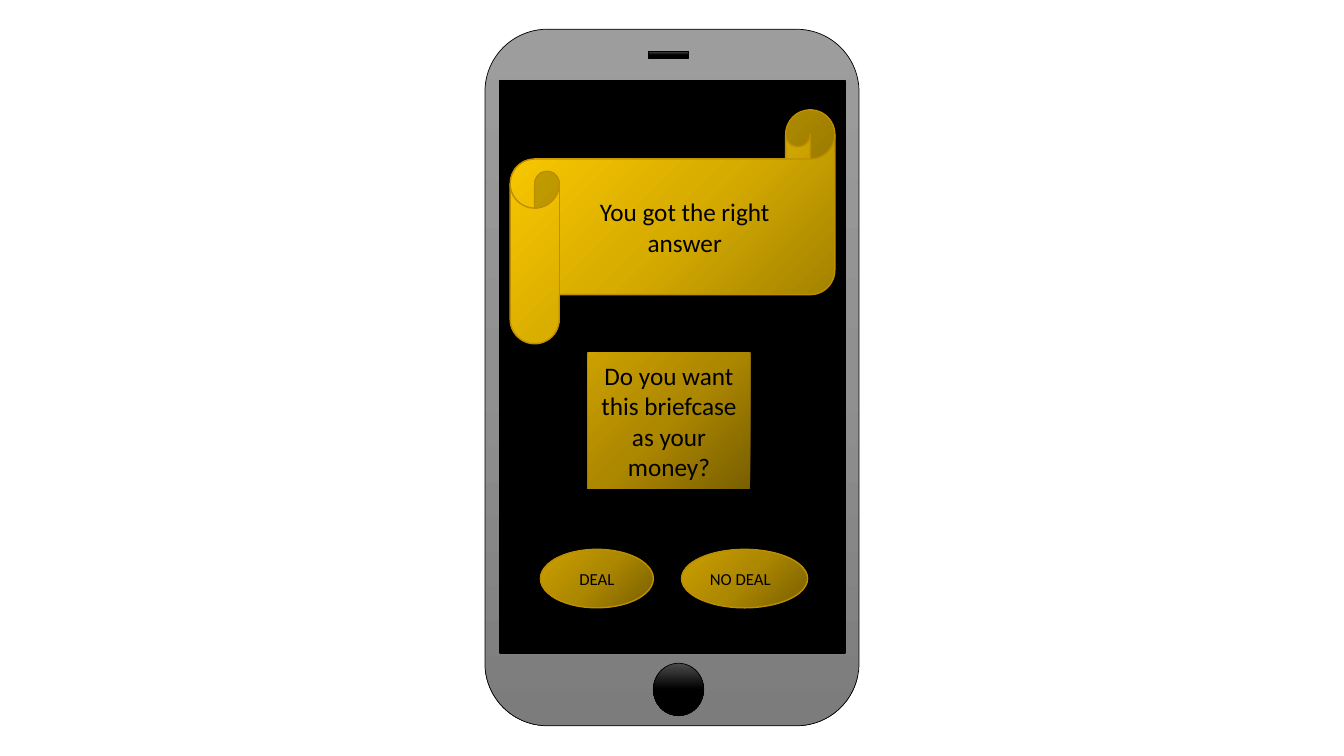
import copy

import pptx
import pptx.dml.color
import pptx.enum.shapes
import pptx.enum.text
import pptx.oxml.ns
import pptx.util

SHAPES = pptx.enum.shapes.MSO_SHAPE
ALIGN = pptx.enum.text.PP_ALIGN
PIXEL = 9144
BODY_GRADIENT = ("9D9D9D", "909090", "7C7C7C")
BUTTON_GRADIENT = ("4B4B4B", "000000", "000000")
SCROLL_GRADIENT = ("977900", "D7AC00", "FFCC00")
GOLD_GRADIENT = ("795F00", "AC8700", "CCA000")
GOLD_LINE = "BD8E00"


def color(value):
    return pptx.dml.color.RGBColor.from_string(value)


def write_text(shape, text, size=18, align=ALIGN.CENTER, line_spacing=None, space_after=None):
    frame = shape.text_frame
    frame.word_wrap = True
    frame.vertical_anchor = pptx.enum.text.MSO_ANCHOR.MIDDLE
    paragraph = frame.paragraphs[0]
    paragraph.alignment = align
    paragraph.line_spacing = line_spacing
    if space_after is not None:
        paragraph.space_after = pptx.util.Pt(space_after)
    run = paragraph.add_run()
    run.text = text
    run.font.name = "Calibri"
    run.font.size = pptx.util.Pt(size)
    run.font.color.rgb = color("000000")


class PhoneSlide:
    """Draws the parts of a phone screen on one slide."""

    def __init__(self, slide):
        self.slide = slide
        self.phone = slide.shapes.add_group_shape()

    def add_shape(self, container, kind, box, line=None, line_width=1):
        shape = container.shapes.add_shape(kind, *(length * PIXEL for length in box))
        shape.shadow.inherit = False
        if line:
            shape.line.color.rgb = color(line)
            shape.line.width = pptx.util.Pt(line_width)
        else:
            shape.line.fill.background()
        return shape

    def fill_gradient(self, shape, colors, angle):
        shape.fill.gradient()
        shape.fill.gradient_angle = angle
        stop_list = shape.element.spPr.find(".//" + pptx.oxml.ns.qn("a:gsLst"))
        stop_list.append(copy.deepcopy(stop_list[0]))
        for index, (stop, value) in enumerate(zip(shape.fill.gradient_stops, colors)):
            stop.position = index / 2
            stop.color.rgb = color(value)

    def add_phone_part(self, kind, box, colors):
        shape = self.add_shape(self.phone, kind, box, "000000", 0.5)
        self.fill_gradient(shape, colors, 270)

    def add_screen(self, box):
        shape = self.add_shape(self.slide, SHAPES.RECTANGLE, box, "000000")
        shape.fill.solid()
        shape.fill.fore_color.rgb = color("000000")

    def add_gold_panel(self, kind, box, text, colors=GOLD_GRADIENT, line=GOLD_LINE, **text_format):
        shape = self.add_shape(self.slide, kind, box, line)
        self.fill_gradient(shape, colors, 135)
        write_text(shape, text, **text_format)
        return shape

    def add_choice(self, left, width, text, align):
        self.add_gold_panel(SHAPES.OVAL, (left, 545, width, 58), text, size=12,
                            align=align, line_spacing=1.07, space_after=8)


def main():
    presentation = pptx.Presentation()
    presentation.slide_width = 1333 * PIXEL
    presentation.slide_height = 750 * PIXEL
    page = PhoneSlide(presentation.slides.add_slide(presentation.slide_layouts[6]))

    page.add_phone_part(SHAPES.ROUNDED_RECTANGLE, (481, 29, 371, 691), BODY_GRADIENT)
    page.add_phone_part(SHAPES.OVAL, (648, 658, 50, 52), BUTTON_GRADIENT)
    page.add_phone_part(SHAPES.RECTANGLE, (643, 51, 40, 7), BUTTON_GRADIENT)
    page.add_screen((496, 80, 342, 568))

    scroll = page.add_gold_panel(SHAPES.HORIZONTAL_SCROLL, (506, 109, 322, 232),
                                 "You got the right answer", SCROLL_GRADIENT)
    scroll.adjustments[0] = 0.21
    page.add_gold_panel(SHAPES.RECTANGLE, (583, 350, 161, 135),
                        "Do you want this briefcase as your money?", line=None)
    page.add_choice(536, 112, "DEAL", ALIGN.CENTER)
    page.add_choice(676, 125, "NO DEAL", ALIGN.LEFT)

    presentation.save("out.pptx")


if __name__ == "__main__":
    main()
